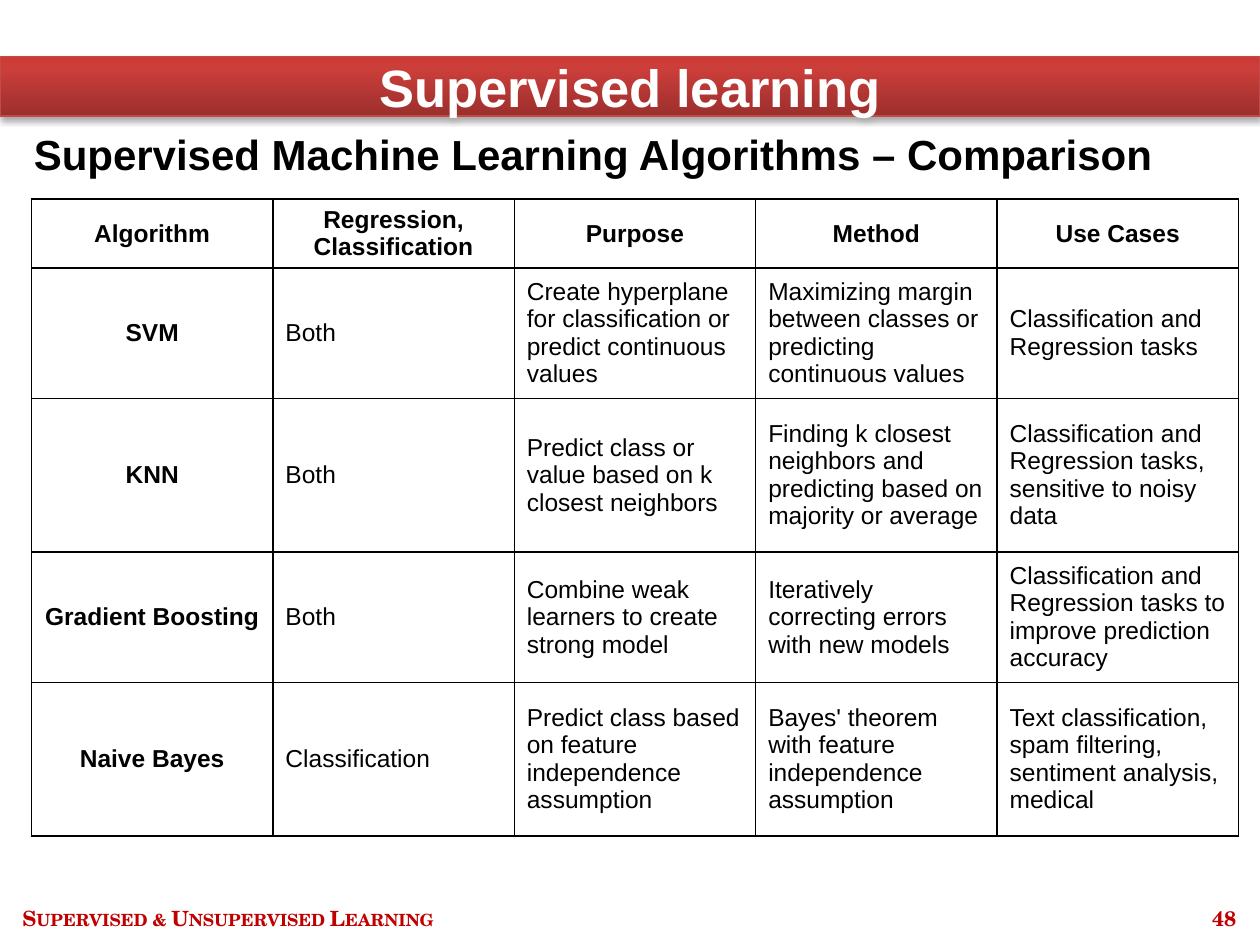
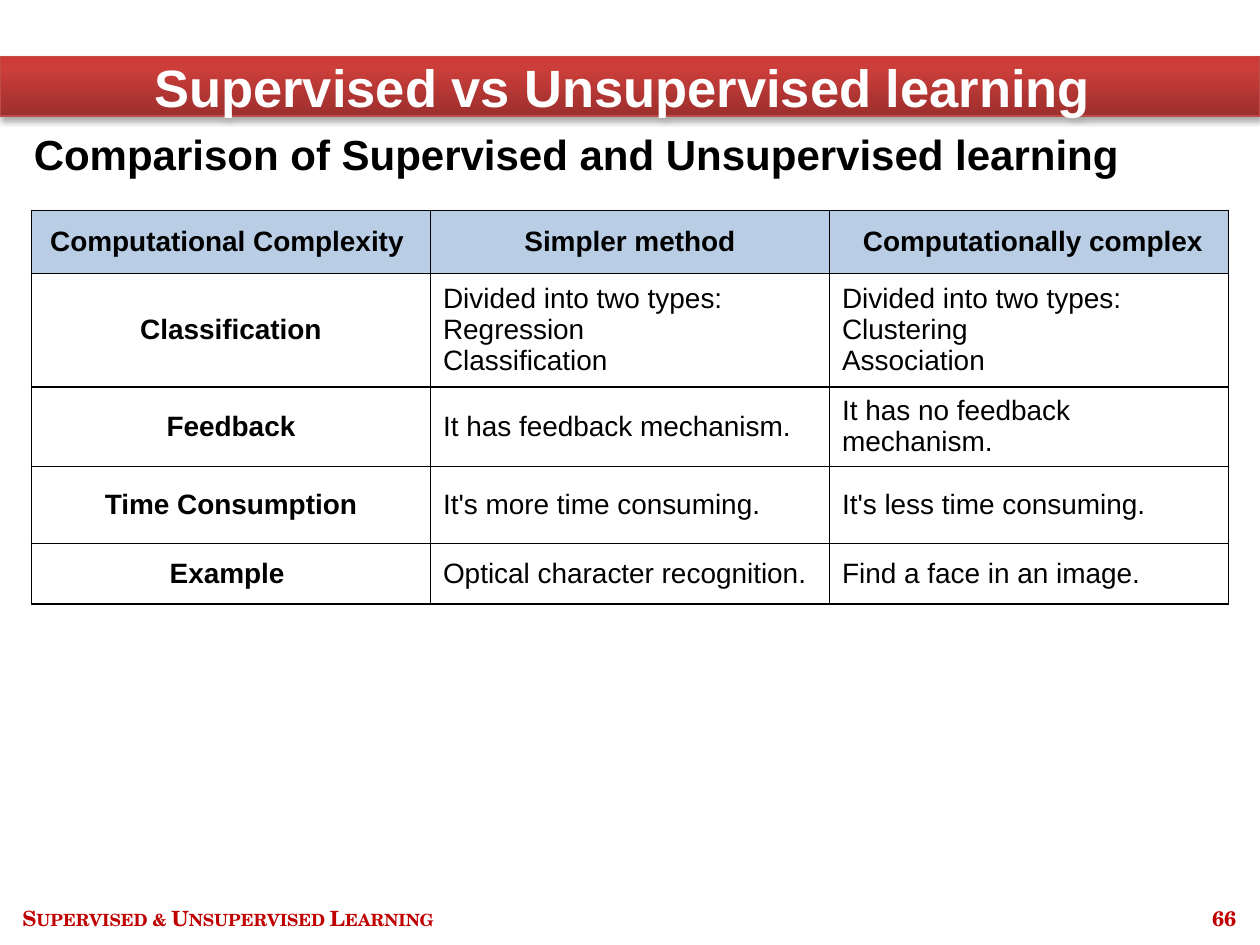
from copy import deepcopy
from pptx import Presentation
from pptx.dml.color import RGBColor
from pptx.enum import text as t
from pptx.oxml import parse_xml
from pptx.oxml.ns import nsdecls, qn
from pptx.util import Inches, Pt

# Content
FOOT = "Supervised & Unsupervised Learning"
SLIDES = [
    {
        "title": "Supervised learning",
        "head": "Supervised Machine Learning Algorithms – Comparison",
        "page": "48",
        "top": 1.58, "width": 9.58, "size": 14, "inset": 0.08, "tint": False,
        "heights": [0.53, 0.99, 1.22, 0.99, 1.22],
        "rows": [
            ("Algorithm", "Regression,\nClassification", "Purpose", "Method", "Use Cases"),
            ("SVM", "Both",
             "Create hyperplane for classification or predict continuous values",
             "Maximizing margin between classes or predicting continuous values",
             "Classification and Regression tasks"),
            ("KNN", "Both",
             "Predict class or value based on k closest neighbors",
             "Finding k closest neighbors and predicting based on majority or average",
             "Classification and Regression tasks, sensitive to noisy data"),
            ("Gradient Boosting", "Both",
             "Combine weak learners to create strong model",
             "Iteratively correcting errors with new models",
             "Classification and Regression tasks to improve prediction accuracy"),
            ("Naive Bayes", "Classification",
             "Predict class based on feature independence assumption",
             "Bayes' theorem with feature independence assumption",
             "Text classification, spam filtering, sentiment analysis, medical"),
        ],
    },
    {
        "title": "Supervised vs Unsupervised learning ",
        "head": "Comparison of Supervised and Unsupervised learning",
        "page": "66",
        "top": 1.67, "width": 9.5, "size": 16, "inset": 0.09, "tint": True,
        "heights": [0.5, 0.83, 0.59, 0.61, 0.48],
        "rows": [
            ("Computational Complexity ", "Simpler method", " Computationally complex"),
            ("Classification",
             "Divided into two types:\nRegression\nClassification",
             "Divided into two types:\nClustering\nAssociation"),
            ("Feedback", "It has feedback mechanism.", "It has no feedback mechanism."),
            ("Time Consumption", "It's more time consuming.", "It's less time consuming."),
            ("Example ", "Optical character recognition.", "Find a face in an image."),
        ],
    },
]

# Shared style
SANS, SERIF = "Arial", "TeX Gyre Schola"
BLACK = RGBColor(0x00, 0x00, 0x00)
WHITE = RGBColor(0xFF, 0xFF, 0xFF)
RED = RGBColor(0xC0, 0x00, 0x00)
EDGE = RGBColor(0xBF, 0x4C, 0x48)
TINT = RGBColor(0xB9, 0xCD, 0xE5)
BAND = [(0, RGBColor(0x9C, 0x2F, 0x2D)),
        (0.8, RGBColor(0xCB, 0x3E, 0x3A)),
        (1, RGBColor(0xCE, 0x3B, 0x37))]
LEFT, CENTER, RIGHT = t.PP_ALIGN.LEFT, t.PP_ALIGN.CENTER, t.PP_ALIGN.RIGHT
MIDDLE = t.MSO_ANCHOR.MIDDLE


def write(frame, words, size, color=BLACK, bold=True, face=SANS, align=LEFT):
    """Fill a frame's first paragraph, one run per line."""
    para = frame.paragraphs[0]
    para.alignment = align
    for i, line in enumerate(words.split("\n")):
        if i:
            para.add_line_break()
        run = para.add_run()
        run.text = line
        font = run.font
        font.name, font.size, font.bold = face, Pt(size), bold
        font.color.rgb = color
    return para


def add_box(slide, place, words, size, anchor=MIDDLE, **style):
    frame = slide.shapes.add_textbox(*map(Inches, place)).text_frame
    frame.word_wrap = True
    frame.vertical_anchor = anchor
    return write(frame, words, size, **style)


def add_band(slide, words):
    """Turn the title into the shaded red band."""
    band = slide.shapes.title
    band.left, band.top, band.width, band.height = map(Inches, (0, 0.45, 10, 0.47))
    fill = band.fill
    fill.gradient()
    fill.gradient_angle = 90
    stops = band._element.spPr.find(".//" + qn("a:gsLst"))
    stops.append(deepcopy(stops[0]))
    for stop, (pos, color) in zip(fill.gradient_stops, BAND):
        stop.position = pos
        stop.color.rgb = color
    band.line.color.rgb = EDGE
    band.line.width = Pt(0.75)
    band.shadow.inherit = False
    band._element.spPr.find(qn("a:effectLst")).append(parse_xml(
        f'<a:outerShdw {nsdecls("a")} blurRad="{Pt(3.1)}" dist="{Pt(1.8)}" '
        'dir="5400000" rotWithShape="0"><a:srgbClr val="000000">'
        '<a:alpha val="35000"/></a:srgbClr></a:outerShdw>'))
    frame = band.text_frame
    frame.auto_size = t.MSO_AUTO_SIZE.NONE
    frame.word_wrap = True
    frame.vertical_anchor = MIDDLE
    write(frame, words, 30, color=WHITE, align=CENTER)


def add_foot(slide, page):
    style = {"color": RED, "face": SERIF}
    para = add_box(slide, (0.08, 7.15, 9.25, 0.27), FOOT, 12, **style)
    para.runs[0].font._element.set("cap", "small")
    add_box(slide, (9.33, 7.15, 0.58, 0.27), page, 12, align=RIGHT, **style)


def rule_cell(cell):
    """Draw thin black borders; they come before the fill."""
    props = cell._tc.get_or_add_tcPr()
    for i, side in enumerate("LRTB"):
        props.insert(i, parse_xml(
            f'<a:ln{side} {nsdecls("a")} w="{Pt(1)}"><a:solidFill>'
            f'<a:srgbClr val="{BLACK}"/></a:solidFill></a:ln{side}>'))


def add_grid(slide, data):
    rows, size = data["rows"], data["size"]
    count = len(rows[0])
    grid = slide.shapes.add_table(
        len(rows), count, Inches(0.25), Inches(data["top"]),
        Inches(data["width"]), Inches(sum(data["heights"]))).table
    grid.first_row = grid.horz_banding = False
    for col in grid.columns:
        col.width = Inches(data["width"] / count)
    for r, (row, high) in enumerate(zip(rows, data["heights"])):
        grid.rows[r].height = Inches(high)
        for c, words in enumerate(row):
            cell = grid.cell(r, c)
            cell.vertical_anchor = MIDDLE
            if r == 0:
                cell.margin_left = cell.margin_right = Inches(data["inset"])
                cell.margin_top = cell.margin_bottom = Inches(0.04)
            else:
                cell.margin_left = cell.margin_right = Inches(0.1)
                cell.margin_top = cell.margin_bottom = Inches(0.05)
            if r == 0 and data["tint"]:
                cell.fill.solid()
                cell.fill.fore_color.rgb = TINT
            else:
                cell.fill.background()
            rule_cell(cell)
            label = r == 0 or c == 0
            write(cell.text_frame, words, size, bold=label,
                  align=CENTER if label else LEFT)


def main():
    deck = Presentation()
    deck.slide_width, deck.slide_height = Inches(10), Inches(7.5)
    for data in SLIDES:
        slide = deck.slides.add_slide(deck.slide_layouts[5])
        add_band(slide, data["title"])
        add_box(slide, (0.17, 0.97, 9.67, 0.5), data["head"], 24,
                anchor=t.MSO_ANCHOR.TOP)
        add_foot(slide, data["page"])
        add_grid(slide, data)
    deck.save("out.pptx")


if __name__ == "__main__":
    main()
